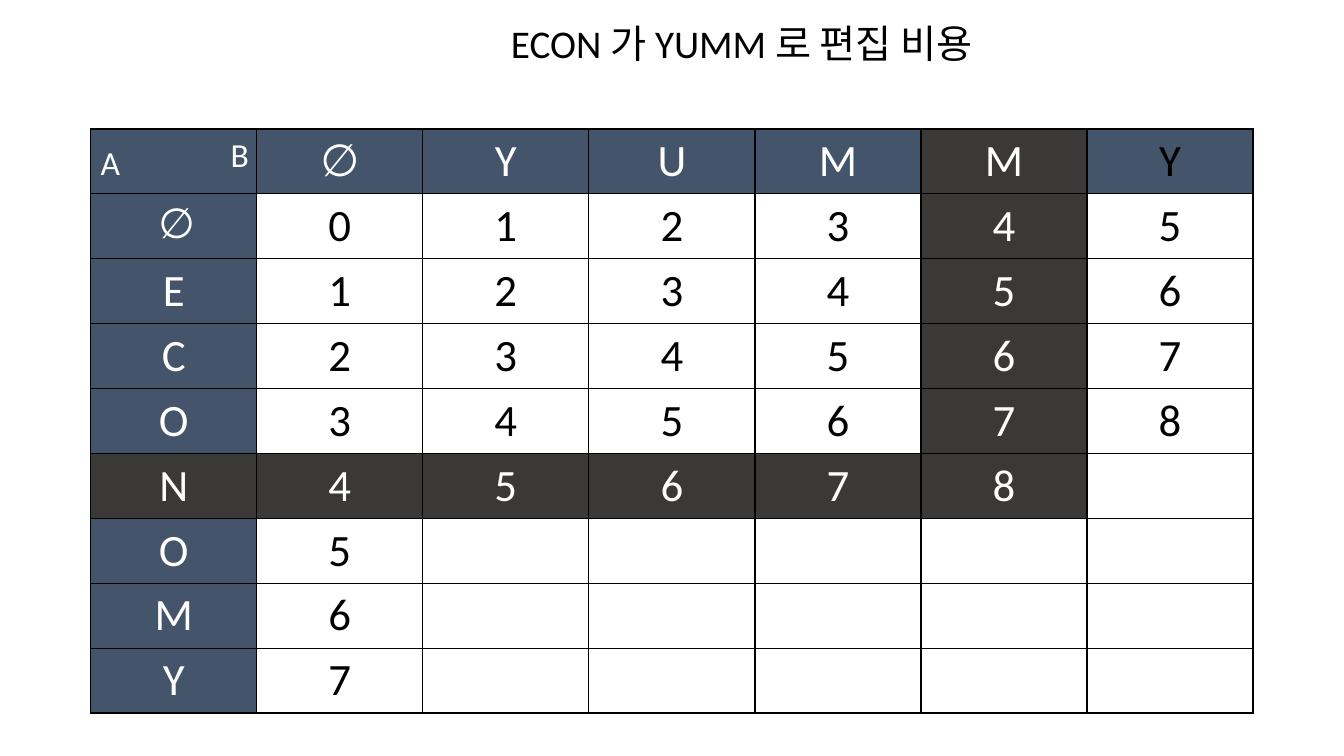
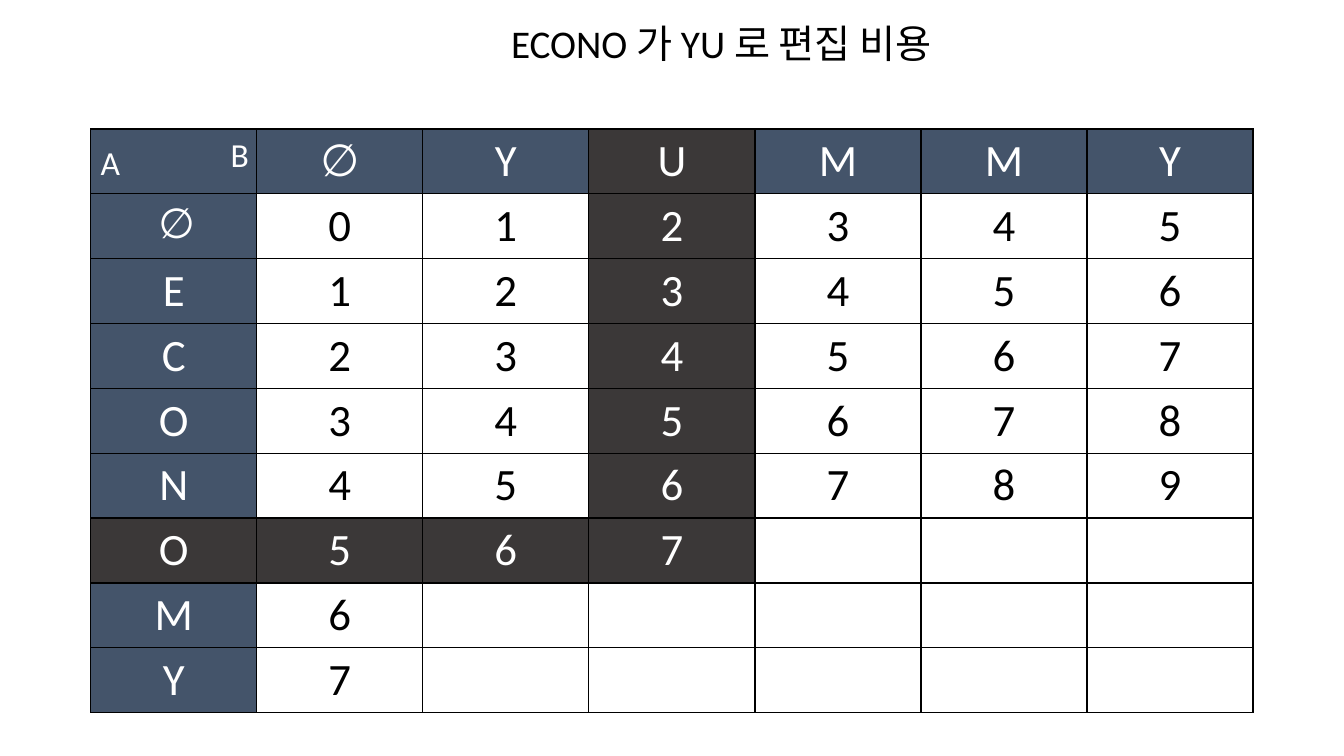
from lxml import etree
from pptx import Presentation
from pptx.dml.color import RGBColor
from pptx.enum.text import PP_ALIGN
from pptx.oxml.ns import qn
from pptx.util import Emu, Pt

LEFT, CENTER = PP_ALIGN.LEFT, PP_ALIGN.CENTER
SCALE = 9144  # EMU in one px, 100 px to the inch
FONT = "Calibri"
BLUE, DARK, WHITE, BLACK = "44546A", "3B3838", "FFFFFF", "000000"
FROM, TO = "ECONOMY", "YUMMY"
EMPTY = "∅"
SIZE = 32


def px(n):
    return Emu(n * SCALE)


def rgb(code):
    return RGBColor.from_string(code)


def write(frame, text, size=SIZE, color=BLACK, align=LEFT):
    """Add a run to the first paragraph of the frame."""
    para = frame.paragraphs[0]
    para.alignment = align
    run = para.add_run()
    run.text = text
    run.font.name = FONT
    run.font.size = Pt(size)
    run.font.color.rgb = rgb(color)


def label(slide, text, box, wrap=False, **style):
    shape = slide.shapes.add_textbox(*map(px, box))
    shape.text_frame.word_wrap = wrap
    write(shape.text_frame, text, **style)


def border(cell):
    props = cell._tc.get_or_add_tcPr()
    for side in ("lnL", "lnR", "lnT", "lnB"):
        line = etree.SubElement(props, qn(f"a:{side}"), w=str(Pt(1)))
        fill = etree.SubElement(line, qn("a:solidFill"))
        etree.SubElement(fill, qn("a:srgbClr"), val=BLACK)


def paint(cell, color):
    border(cell)
    cell.fill.solid()
    cell.fill.fore_color.rgb = rgb(color)


def content(i, j, row, col):
    """Text of a cell; index -1 is the heading row or column."""
    if i < 0 and j < 0:
        return ""
    if i < 0:
        return (EMPTY + TO)[j]
    if j < 0:
        return (EMPTY + FROM)[i]
    known = j == 0 or (i, j) <= (row, col)
    return str(i + j) if known else ""


def grid(slide, row, col, plain):
    """Draw the costs known up to (row, col), with heading column plain in black."""
    rows, cols = len(FROM) + 2, len(TO) + 2
    table = slide.shapes.add_table(
        rows, cols, px(90), px(128), px(1153), px(579)).table
    table.first_row = table.horz_banding = False
    for r in range(rows):
        for c in range(cols):
            i, j = r - 1, c - 1
            cell = table.cell(r, c)
            marked = (i == row and j <= col) or (j == col and i <= row)
            head = i < 0 or j < 0
            paint(cell, DARK if marked else BLUE if head else WHITE)
            text = content(i, j, row, col)
            if not text:
                continue
            light = (marked or head) and (i, j) != (-1, plain)
            style = {"color": WHITE if light else BLACK, "align": CENTER}
            if (i, j) == (0, -1):
                write(cell.text_frame, " ", size=18, **style)
                style["size"] = 30
            write(cell.text_frame, text, **style)


def build(deck, row, col, width, plain=None):
    slide = deck.slides.add_slide(deck.slide_layouts[6])
    grid(slide, row, col, plain)
    label(slide, "A", (90, 136, 40, 50), size=24, color=WHITE)
    label(slide, "B", (219, 128, 38, 50), size=24, color=WHITE)
    title = f"{FROM[:row]} 가 {TO[:col]} 로 편집 비용"
    label(slide, title, (497, 14, width, 57), wrap=True, size=28)


def main():
    deck = Presentation()
    deck.slide_width, deck.slide_height = px(1333), px(750)
    build(deck, 4, 4, 503, plain=len(TO))
    build(deck, 5, 2, 461)
    deck.save("out.pptx")


if __name__ == "__main__":
    main()
